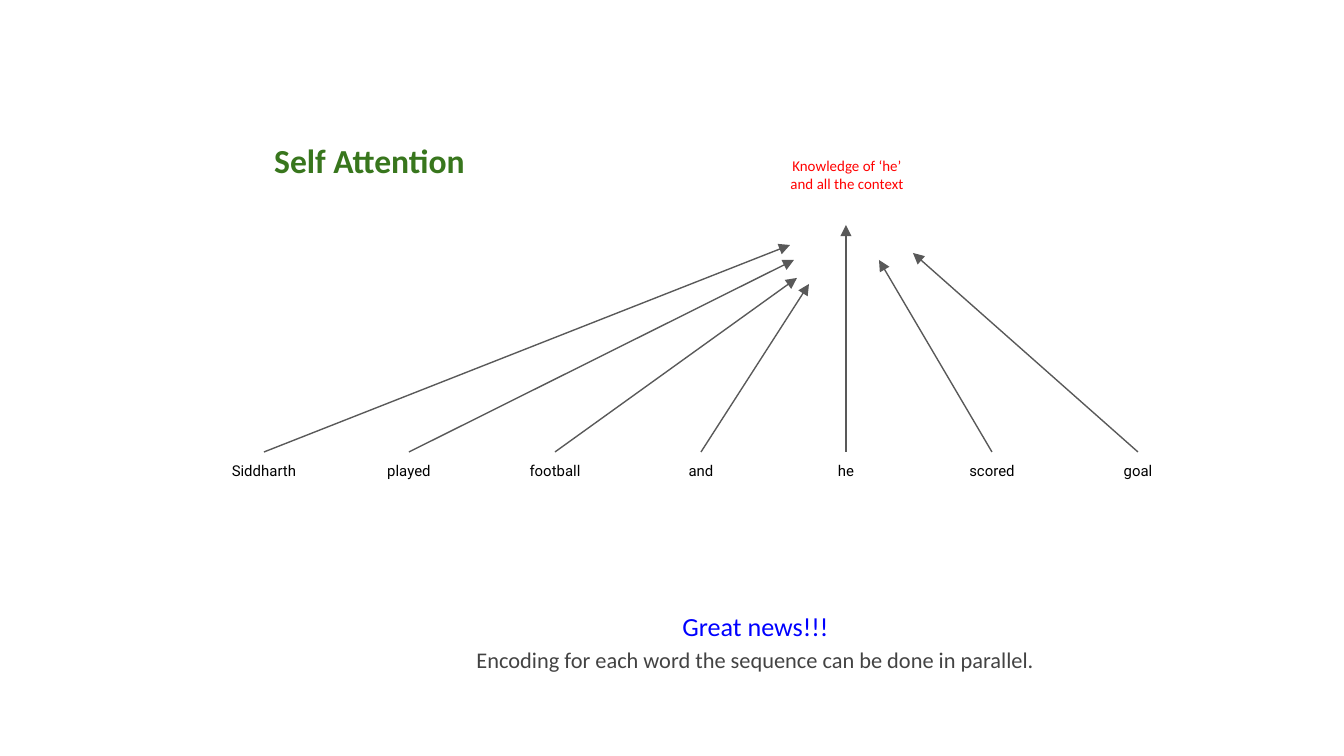
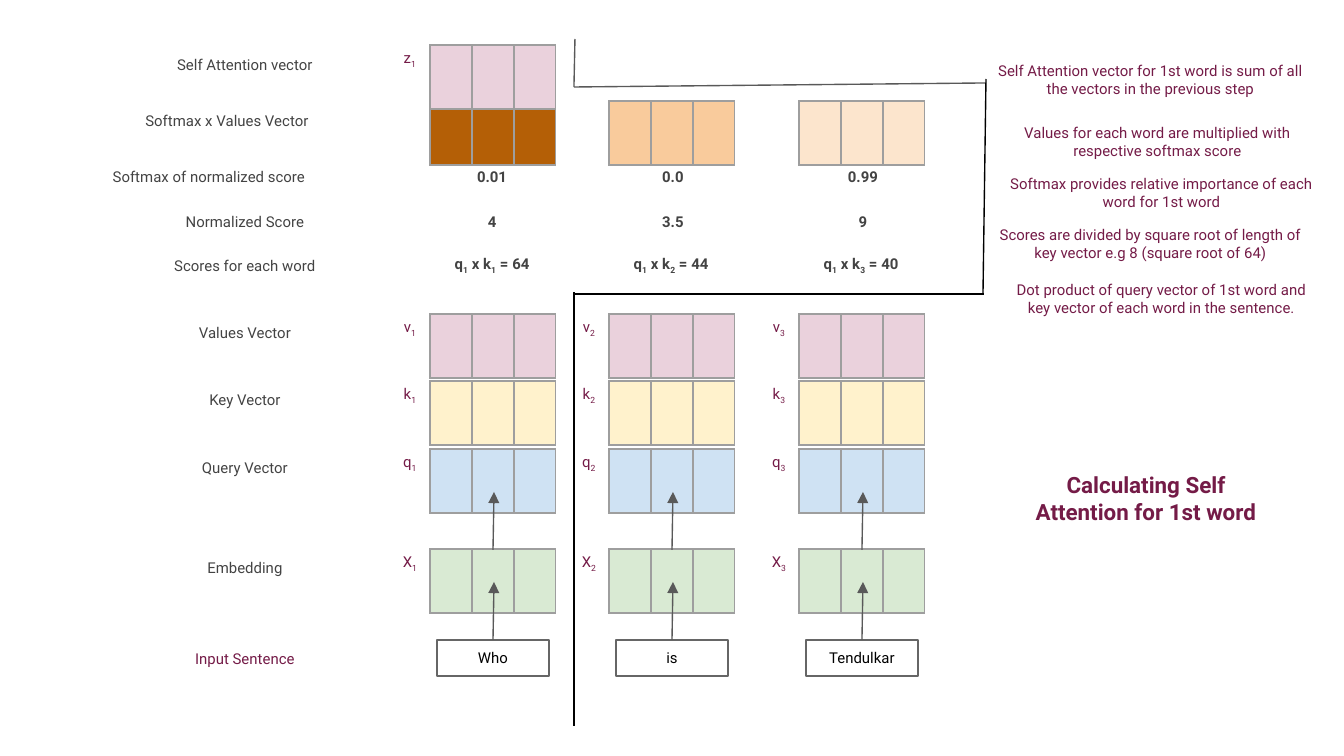
"""Build two slides that explain self attention."""
from lxml import etree
from pptx import Presentation
from pptx.dml.color import RGBColor
from pptx.enum.shapes import MSO_CONNECTOR, MSO_SHAPE
from pptx.enum.text import MSO_ANCHOR, PP_ALIGN
from pptx.oxml.ns import qn
from pptx.util import Pt

STRAIGHT = MSO_CONNECTOR.STRAIGHT
RECTANGLE = MSO_SHAPE.RECTANGLE
MIDDLE = MSO_ANCHOR.MIDDLE
CENTER = PP_ALIGN.CENTER

EMU_PER_PX = 914400 / 134.4
BLACK, DARK, LINE, GRID = "000000", "434343", "595959", "9E9E9E"
PLUM, GREEN, BLUE, RED = "741B47", "38761D", "0000FF", "FF0000"
PINK, YELLOW, SKY, MINT = "EAD1DC", "FFF2CC", "CFE2F3", "D9EAD3"
ORANGES = ("B45F06", "F9CB9C", "FCE5CD")

BODY = {"name": "Roboto", "size": Pt(8), "bold": False}
BOLD = {**BODY, "bold": True}
HEADING = {**BOLD, "size": Pt(12)}
CONTEXT = {**BODY, "name": "Calibri"}
TITLE = {"name": "Calibri", "size": Pt(18), "bold": True}
NEWS = {**CONTEXT, "size": Pt(14)}
DETAIL = {**CONTEXT, "size": Pt(12)}

TEXT_HEIGHT = 36
WORD_WIDTH = 112
INSET = 13
CELL_WIDTH, CELL_HEIGHT = 42, 64
COLUMN_OFFSETS = (0, 179, 369)

SENTENCE = ("Siddharth", "played", "football", "and", "he", "scored", "goal")
ARROW_TIPS = ((582, 38), (586, 53), (589, 71), (601, 77), (638, 18), (671, 53), (705, 46))

VECTOR_ROWS = (
    (314, "Values Vector", "v", PINK),
    (381, "Key Vector", "k", YELLOW),
    (449, "Query Vector", "q", SKY),
    (549, "Embedding", "X", MINT),
)
SCORE_ROWS = (
    (158, "Softmax of normalized score", ("0.01 ", "0.0", "0.99")),
    (203, "Normalized Score", ("4 ", "3.5", "9")),
    (247, "Scores for each word",
     ("q|1| x k|1| = 64 ", "q|1| x k|2| = 44 ", "q|1| x k|3| = 40 ")),
)
NOTES = (
    (0, 0, "Self Attention vector for 1st word is sum of all the vectors in the previous step"),
    (7, 62, "Values for each word are multiplied with respective softmax score"),
    (11, 113, "Softmax provides relative importance of each word for 1st word"),
    (0, 164, "Scores are divided by square root of length of key vector e.g 8 (square root of 64)"),
    (11, 219, "Dot product of query vector of 1st word and key vector of each word in the sentence."),
)
DIVIDERS = (
    ((0, 687), (0, 253), BLACK),
    ((0, 255), (410, 255), BLACK),
    ((409, 256), (412, 40), BLACK),
    ((0, 48), (411, 44), LINE),
    ((0, 48), (1, 0), LINE),
)


def px(length):
    """Turn px into EMU."""
    return round(length * EMU_PER_PX)


def color(value):
    """Turn a hex string into a colour."""
    return RGBColor.from_string(value)


def write_paragraph(paragraph, text, ink, formats, spacing=None):
    """Write centred text, where every second part between bars is a subscript."""
    paragraph.alignment = CENTER
    if spacing:
        paragraph.line_spacing = spacing
    for index, part in enumerate(text.split("|")):
        run = paragraph.add_run()
        run.text = part
        for name, value in formats.items():
            setattr(run.font, name, value)
        run.font.color.rgb = color(ink)
        if index % 2:
            run.font._element.set("baseline", "-25000")


def prepare_frame(shape):
    """Set wrapping, anchor and insets, and return the text frame."""
    frame = shape.text_frame
    settings = {"word_wrap": True, "vertical_anchor": MIDDLE}
    settings.update({f"margin_{side}": px(INSET) for side in ("left", "top", "right", "bottom")})
    for name, value in settings.items():
        setattr(frame, name, value)
    return frame


def add_text(slide, box, text, ink=DARK, formats=BODY, spacing=None):
    """Add a text box with one paragraph and return its frame."""
    frame = prepare_frame(slide.shapes.add_textbox(*map(px, box)))
    write_paragraph(frame.paragraphs[0], text, ink, formats, spacing)
    return frame


def add_line(slide, start, end, ink=LINE, arrow=False):
    """Add a straight line, with an arrowhead at its end if asked."""
    connector = slide.shapes.add_connector(STRAIGHT, *map(px, (*start, *end)))
    connector.line.color.rgb = color(ink)
    connector.line.width = Pt(0.75)
    if arrow:
        etree.SubElement(connector.line._get_or_add_ln(), qn("a:tailEnd"), type="triangle")
    etree.SubElement(connector._element.spPr, qn("a:effectLst"))


def add_borders(cell):
    """Draw a thin grey line on each side of a cell."""
    properties = cell._tc.get_or_add_tcPr()
    for side in ("lnL", "lnR", "lnT", "lnB"):
        border = etree.SubElement(properties, qn(f"a:{side}"), w=str(Pt(0.75)))
        fill = etree.SubElement(border, qn("a:solidFill"))
        etree.SubElement(fill, qn("a:srgbClr"), val=GRID)


def add_vector(slide, left, top, fill):
    """Add a vector as a table of three filled cells."""
    box = (left, top, 3 * CELL_WIDTH, CELL_HEIGHT)
    table = slide.shapes.add_table(1, 3, *map(px, box)).table
    for column in table.columns:
        column.width = px(CELL_WIDTH)
    for cell in table.iter_cells():
        add_borders(cell)
        cell.fill.solid()
        cell.fill.fore_color.rgb = color(fill)


def add_symbol(slide, left, top, symbol, number):
    """Add the numbered symbol beside a vector."""
    add_text(slide, (left - 48, top - 4, 56, TEXT_HEIGHT), f"{symbol}|{number}", PLUM)


def add_row_label(slide, right, top, text, ink=DARK, width=176):
    """Add a row label that ends at the given right edge."""
    add_text(slide, (right - width, top, width, TEXT_HEIGHT), text, ink)


def add_word_box(slide, left, top, word):
    """Add an outlined word of the input sentence."""
    box = (left, top, WORD_WIDTH, TEXT_HEIGHT)
    shape = slide.shapes.add_shape(RECTANGLE, *map(px, box))
    shape.shadow.inherit = False
    shape.fill.background()
    shape.line.color.rgb = color("666666")
    shape.line.width = Pt(0.75)
    write_paragraph(prepare_frame(shape).paragraphs[0], word, BLACK, BODY)


def add_attention_fan(slide, left, top):
    """Add the sentence with an arrow from each word to the context."""
    word_top = top + 245
    for index, (word, (tip_x, tip_y)) in enumerate(zip(SENTENCE, ARROW_TIPS)):
        word_left = left + index * 874 // 6
        add_text(slide, (word_left, word_top, WORD_WIDTH, TEXT_HEIGHT), word, BLACK)
        start = (word_left + WORD_WIDTH // 2, word_top)
        add_line(slide, start, (left + tip_x, top + tip_y), arrow=True)


def add_vector_grid(slide, left, label_right):
    """Add the vectors of each word with their labels and symbols."""
    for top, label, symbol, fill in VECTOR_ROWS:
        add_row_label(slide, label_right, top, label)
        for number, offset in enumerate(COLUMN_OFFSETS, 1):
            add_vector(slide, left + offset, top, fill)
            add_symbol(slide, left + offset, top, symbol, number)


def add_input_sentence(slide, left, top, label_right):
    """Add the input words and the arrows that lead up from them."""
    add_row_label(slide, label_right, top, "Input Sentence", PLUM)
    for offset, word in zip(COLUMN_OFFSETS, ("Who", "is", "Tendulkar")):
        word_left = left + offset
        add_word_box(slide, word_left + 7, top, word)
        for rise in (0, 90):
            start = (word_left + 63, top - rise)
            add_line(slide, start, (word_left + 64, start[1] - 58), arrow=True)


def add_score_grid(slide, left, label_right):
    """Add the score rows for each word."""
    for top, label, values in SCORE_ROWS:
        width = 248 if len(label) > 25 else 176
        add_row_label(slide, label_right, top, label, width=width)
        for offset, value in zip(COLUMN_OFFSETS, values):
            box = (left + offset - 24, top, 176, TEXT_HEIGHT)
            add_text(slide, box, value, DARK, BOLD)


def add_result_rows(slide, left, top, label_right):
    """Add the weighted values and the self attention vector above them."""
    add_row_label(slide, label_right, top + 57, "Softmax x Values Vector", width=212)
    for offset, fill in zip(COLUMN_OFFSETS, ORANGES):
        add_vector(slide, left + offset, top + 56, fill)
    add_row_label(slide, label_right, top + 1, "Self Attention vector")
    add_vector(slide, left, top, PINK)
    add_symbol(slide, left, top, "z", 1)


def add_notes_column(slide, left, top):
    """Add the explanations and the heading on the right."""
    for shift, drop, text in NOTES:
        add_text(slide, (left + shift, top + drop, 337, TEXT_HEIGHT), text, PLUM)
    heading = "Calculating Self Attention for 1st word"
    add_text(slide, (left + 29, top + 376, 270, 120), heading, PLUM, HEADING)


def add_dividers(slide, left, top):
    """Add the lines that set the first word's steps apart."""
    for start, end, ink in DIVIDERS:
        (start_x, start_y), (end_x, end_y) = start, end
        add_line(slide, (left + start_x, top + start_y), (left + end_x, top + end_y), ink)


def build_overview(slide):
    """Build the slide on what self attention gives."""
    add_attention_fan(slide, 208, 207)
    add_text(slide, (773, 126, 148, 98), "Knowledge of ‘he’ and all the context", RED, CONTEXT)
    frame = add_text(slide, (415, 570, 681, 128), "Great news!!!", BLUE, NEWS, 1.5)
    detail = "Encoding for each word the sequence can be done in parallel."
    write_paragraph(frame.add_paragraph(), detail, DARK, DETAIL, 1.15)
    add_text(slide, (122, 117, 495, 81), "Self Attention", GREEN, TITLE, 1.15)


def build_calculation(slide):
    """Build the slide on how self attention is calculated."""
    left, label_right = 430, 333
    add_vector_grid(slide, left, label_right)
    add_input_sentence(slide, left, 640, label_right)
    add_score_grid(slide, left, label_right)
    add_result_rows(slide, left, 45, label_right)
    add_notes_column(slide, 982, 62)
    add_dividers(slide, 574, 39)


def main():
    """Build and save the presentation."""
    presentation = Presentation()
    presentation.slide_width = px(1344)
    presentation.slide_height = px(756)
    for build in (build_overview, build_calculation):
        build(presentation.slides.add_slide(presentation.slide_layouts[6]))
    presentation.save("out.pptx")


if __name__ == "__main__":
    main()
